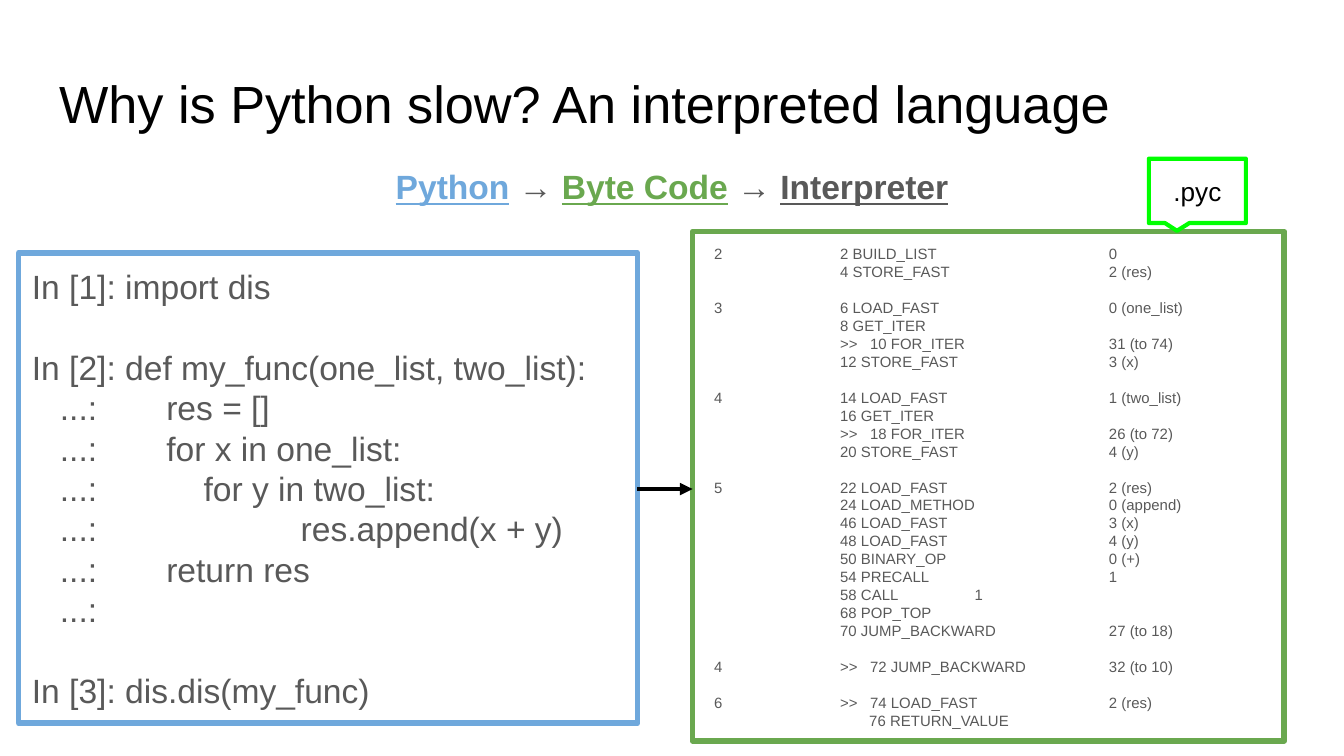
from lxml import etree
from pptx import Presentation
from pptx.dml.color import RGBColor as RGB
from pptx.enum.shapes import MSO_CONNECTOR as CONN, MSO_SHAPE as SHAPE
from pptx.enum.text import MSO_ANCHOR as ANCHOR, PP_ALIGN as ALIGN
from pptx.oxml.ns import qn
from pptx.util import Pt

C = {"black": "000000", "white": "FFFFFF", "grey": "595959", "blue": "6FA8DC",
     "green": "6AA84F", "lime": "00FF00"}
INSETS = {f"margin_{side}": Pt(7.2) for side in ("left", "top", "right", "bottom")}
FRAME = {"word_wrap": True, **INSETS}


def set_all(obj, fmt):
    for name, value in fmt.items():
        setattr(obj, name, value)


def set_font(font, size, color, **fmt):
    set_all(font, {"name": "Arial", "size": Pt(size), **fmt})
    font.color.rgb = RGB.from_string(C[color])


prs = Presentation()
prs.slide_width, prs.slide_height = Pt(720), Pt(405)
s = prs.slides.add_slide(prs.slide_layouts[5])

sp = s.shapes.title
set_all(sp, {"left": Pt(24.5), "top": Pt(35), "width": Pt(671), "height": Pt(45)})
tf = sp.text_frame
set_all(tf, {**FRAME, "vertical_anchor": ANCHOR.TOP})
p = tf.paragraphs[0]
p.text = "Why is Python slow? An interpreted language"
set_all(p, {"alignment": ALIGN.LEFT, "line_spacing": 0.9})
set_font(p.font, 28, "black")

sp = s.shapes.add_textbox(Pt(194.5), Pt(77), Pt(331), Pt(42.5))
tf = sp.text_frame
set_all(tf, {**FRAME, "vertical_anchor": ANCHOR.MIDDLE})
p = tf.paragraphs[0]
set_all(p, {"alignment": ALIGN.CENTER, "line_spacing": 1.15, "space_after": Pt(12)})
for text, color, underline in [
    ("Python", "blue", True), (" → ", "grey", False),
    ("Byte Code", "green", True), (" → ", "grey", False),
    ("Interpreter", "grey", True),
]:
    r = p.add_run()
    r.text = text
    set_font(r.font, 18, color, bold=True, underline=underline)

source = """In [1]: import dis

In [2]: def my_func(one_list, two_list):
   ...:\tres = []
   ...:\tfor x in one_list:
   ...:\t    for y in two_list:
   ...:\t\tres.append(x + y)
   ...:\treturn res
   ...:

In [3]: dis.dis(my_func)"""

bytecode = """  2\t2 BUILD_LIST\t0
\t4 STORE_FAST\t2 (res)

  3\t6 LOAD_FAST\t0 (one_list)
\t8 GET_ITER
\t>>   10 FOR_ITER\t31 (to 74)
\t12 STORE_FAST\t3 (x)

  4\t14 LOAD_FAST\t1 (two_list)
\t16 GET_ITER
\t>>   18 FOR_ITER\t26 (to 72)
\t20 STORE_FAST\t4 (y)

  5\t22 LOAD_FAST\t2 (res)
\t24 LOAD_METHOD\t0 (append)
\t46 LOAD_FAST\t3 (x)
\t48 LOAD_FAST\t4 (y)
\t50 BINARY_OP\t0 (+)
\t54 PRECALL\t1
\t58 CALL\t1
\t68 POP_TOP
\t70 JUMP_BACKWARD\t27 (to 18)

  4\t>>   72 JUMP_BACKWARD\t32 (to 10)

  6\t>>   74 LOAD_FAST\t2 (res)
\t       76 RETURN_VALUE"""

for code, box, color, size, stops in [
    (source, (10, 135.5, 331.5, 252), "blue", 18, (72, 144)),
    (bytecode, (371, 124, 317, 273), "green", 8, (72, 216)),
]:
    sp = s.shapes.add_shape(SHAPE.RECTANGLE, *map(Pt, box))
    sp.shadow.inherit = False
    sp.fill.background()
    sp.line.color.rgb = RGB.from_string(C[color])
    sp.line.width = Pt(3)
    tf = sp.text_frame
    set_all(tf, {**FRAME, "vertical_anchor": ANCHOR.TOP})
    pitch = size * 1.2
    p = tf.paragraphs[0]
    for i, block in enumerate(code.split("\n\n")):
        for j, line in enumerate(block.split("\n")):
            if i or j:
                p = tf.add_paragraph()
            p.text = line
            gap = pitch if i and not j else 0
            set_all(p, {"alignment": ALIGN.LEFT, "line_spacing": Pt(pitch),
                        "space_before": Pt(gap)})
            tabs = etree.SubElement(p._p.get_or_add_pPr(), qn("a:tabLst"))
            for stop in (72, 144) if "58 CALL" in line else stops:
                etree.SubElement(tabs, qn("a:tab"), pos=str(Pt(stop)), algn="l")
            for r in p.runs:
                set_font(r.font, size, "grey")

sp = s.shapes.add_connector(CONN.STRAIGHT, Pt(341.5), Pt(262), Pt(371), Pt(262))
sp.line.color.rgb = RGB.from_string(C["black"])
sp.line.width = Pt(2.25)
etree.SubElement(sp.line._get_or_add_ln(), qn("a:tailEnd"), type="triangle")
etree.SubElement(sp._element.spPr, qn("a:effectLst"))

sp = s.shapes.add_shape(SHAPE.ROUNDED_RECTANGULAR_CALLOUT, Pt(615.5), Pt(85), Pt(52), Pt(34.5))
for i, value in enumerate((-0.21, 0.62, 0)):
    sp.adjustments[i] = value
sp.shadow.inherit = False
sp.fill.solid()
sp.fill.fore_color.rgb = RGB.from_string(C["white"])
sp.line.color.rgb = RGB.from_string(C["lime"])
sp.line.width = Pt(2.25)
tf = sp.text_frame
set_all(tf, {**FRAME, "vertical_anchor": ANCHOR.MIDDLE})
p = tf.paragraphs[0]
p.text = ".pyc"
p.alignment = ALIGN.CENTER
set_font(p.runs[0].font, 14, "black")

prs.save("out.pptx")
